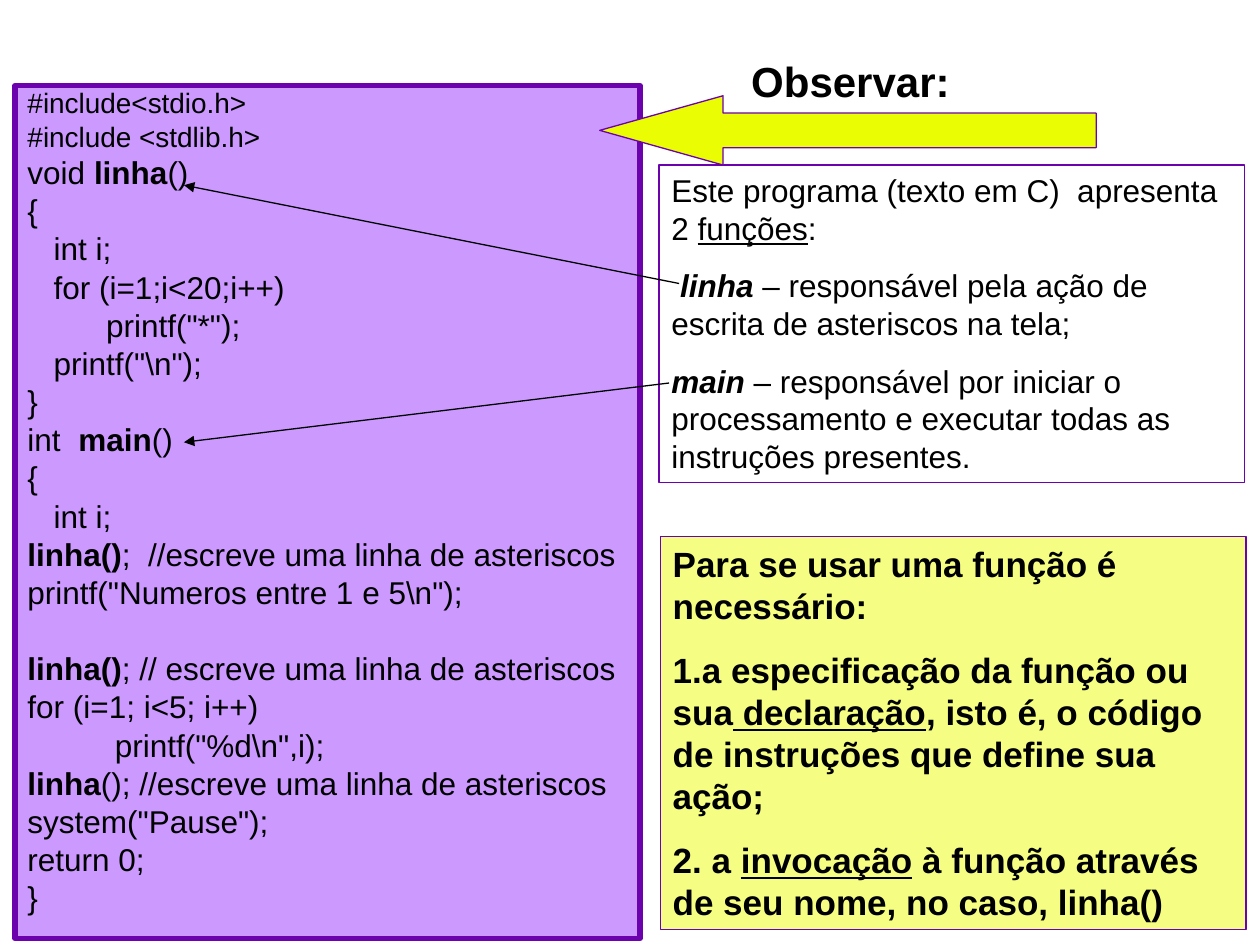
import pptx
import pptx.util
import pptx.dml.color
import pptx.enum.shapes
import pptx.enum.text
import pptx.oxml.ns
import lxml.etree

Inches = pptx.util.Inches
Pt = pptx.util.Pt
SHAPES = pptx.enum.shapes.MSO_SHAPE
ANCHOR = pptx.enum.text.MSO_ANCHOR
ALIGN = pptx.enum.text.PP_ALIGN

COLOURS = {
    "ink": "000000",
    "border": "6C02AE",
    "lilac": "CC99FF",
    "pale": "F5FE82",
    "yellow": "EBFD03",
}
MARKS = {"b": "bold", "i": "italic", "u": "underline"}

CODE_HEADER = ["#include<stdio.h>", "#include <stdlib.h>"]
CODE_TOP = [
    [("void ", ""), ("linha", "b"), ("()", "")],
    "{",
    "   int i;",
    "   for (i=1;i<20;i++)",
    '         printf("*");',
    r'   printf("\n");',
    "}",
    [("int  ", ""), ("main", "b"), ("()", "")],
    "{",
    "   int i;",
    [("linha()", "b"), (";  //escreve uma linha de asteriscos", "")],
    r'printf("Numeros entre 1 e 5\n");',
]
CODE_GAP = [[("linha()", "b"), ("; // escreve uma linha de asteriscos", "")]]
CODE_END = [
    "for (i=1; i<5; i++)",
    r'          printf("%d\n",i);',
    [("linha", "b"), ("(); //escreve uma linha de asteriscos", "")],
    'system("Pause");',
    "return 0;",
    "}",
]
FUNCTIONS_INTRO = [
    [("Este programa (texto em C)  apresenta 2 ", ""), ("funções", "u"), (":", "")],
]
FUNCTION_LINHA = [
    [("linha", "bi"), (" – responsável pela ação de escrita de asteriscos na tela;", "")],
]
FUNCTION_MAIN = [
    [("main", "bi"),
     (" – responsável por iniciar o processamento e executar todas as instruções presentes.", "")],
]
REQUIREMENTS = [
    [("Para se usar uma função é necessário:", "b")],
    [("1.a especificação da função ou sua", "b"), (" declaração", "bu"),
     (", isto é, o código de instruções que define sua ação;", "b")],
    [("2. a ", "b"), ("invocação", "bu"),
     (" à função através de seu nome, no caso, linha()", "b")],
]


def colour(name):
    return pptx.dml.color.RGBColor.from_string(COLOURS[name])


def assign(target, values):
    for name, value in values.items():
        setattr(target, name, value)


class Slide:
    font = "Arial"

    def __init__(self, deck):
        self.page = deck.slides.add_slide(deck.slide_layouts[6])

    def fill_text(self, box, groups, anchor=ANCHOR.TOP, align=ALIGN.LEFT):
        frame = box.text_frame
        assign(frame, {"word_wrap": True, "vertical_anchor": anchor})
        first = True
        for lines, size, before, spacing, indent in groups:
            for line in lines:
                para = frame.paragraphs[0] if first else frame.add_paragraph()
                assign(para, {
                    "alignment": align,
                    "line_spacing": spacing,
                    "space_before": Pt(0 if first else before),
                })
                if indent:
                    para._p.get_or_add_pPr().set("indent", str(Inches(indent)))
                first = False
                for text, marks in [(line, "")] if isinstance(line, str) else line:
                    span = para.add_run()
                    span.text = text
                    assign(span.font, {"name": self.font, "size": Pt(size)})
                    assign(span.font, {MARKS[mark]: True for mark in marks})
                    span.font.color.rgb = colour("ink")

    def title(self, text, place, size):
        box = self.page.shapes.add_textbox(*map(Inches, place))
        self.fill_text(box, [([[(text, "b")]], size, 0, 1.0, 0)], ANCHOR.MIDDLE, ALIGN.CENTER)

    def shape(self, kind, place, fill=None, width=0.75):
        box = self.page.shapes.add_shape(kind, *map(Inches, place))
        box.shadow.inherit = False
        if fill:
            box.fill.solid()
            box.fill.fore_color.rgb = colour(fill)
        else:
            box.fill.background()
        box.line.color.rgb = colour("border")
        box.line.width = Pt(width)
        return box

    def panel(self, place, groups, fill=None, width=0.75):
        self.fill_text(self.shape(SHAPES.RECTANGLE, place, fill, width), groups)

    def arrow(self, start, end):
        line = self.page.shapes.add_connector(
            pptx.enum.shapes.MSO_CONNECTOR.STRAIGHT, *map(Inches, start + end))
        line.line.color.rgb = colour("ink")
        line.line.width = Pt(0.75)
        qn = pptx.oxml.ns.qn
        lxml.etree.SubElement(line.line._get_or_add_ln(), qn("a:tailEnd"), type="triangle")
        lxml.etree.SubElement(line._element.spPr, qn("a:effectLst"))


def main():
    deck = pptx.Presentation()
    assign(deck, {"slide_width": Inches(10), "slide_height": Inches(7.5)})
    slide = Slide(deck)
    slide.title("Observar:", (3.98, 0.21, 5.54, 0.86), 24)
    slide.panel((0.12, 0.68, 4.96, 6.77), [
        (CODE_HEADER, 16, 4, 0.8, 0),
        (CODE_TOP, 18, 4.5, 0.8, 0),
        (CODE_GAP, 18, 26.4, 0.8, 0),
        (CODE_END, 18, 4.5, 0.8, 0),
    ], "lilac", 3)
    slide.panel((5.23, 1.31, 4.65, 2.52), [
        (FUNCTIONS_INTRO, 18, 11.2, 1.0, 0),
        (FUNCTION_LINHA, 18, 11.2, 1.0, 0.07),
        (FUNCTION_MAIN, 18, 11.2, 1.0, 0),
    ])
    slide.arrow((5.39, 2.25), (1.46, 1.47))
    slide.arrow((5.31, 3.04), (1.46, 3.51))
    slide.panel((5.24, 4.26, 4.65, 3.12), [(REQUIREMENTS, 20, 12.5, 1.0, 0)], "pale")
    pointer = slide.shape(SHAPES.LEFT_ARROW, (4.76, 0.76, 3.94, 0.55), "yellow")
    pointer.adjustments[0] = 0.5
    pointer.adjustments[1] = 1.78
    deck.save("out.pptx")


if __name__ == "__main__":
    main()
